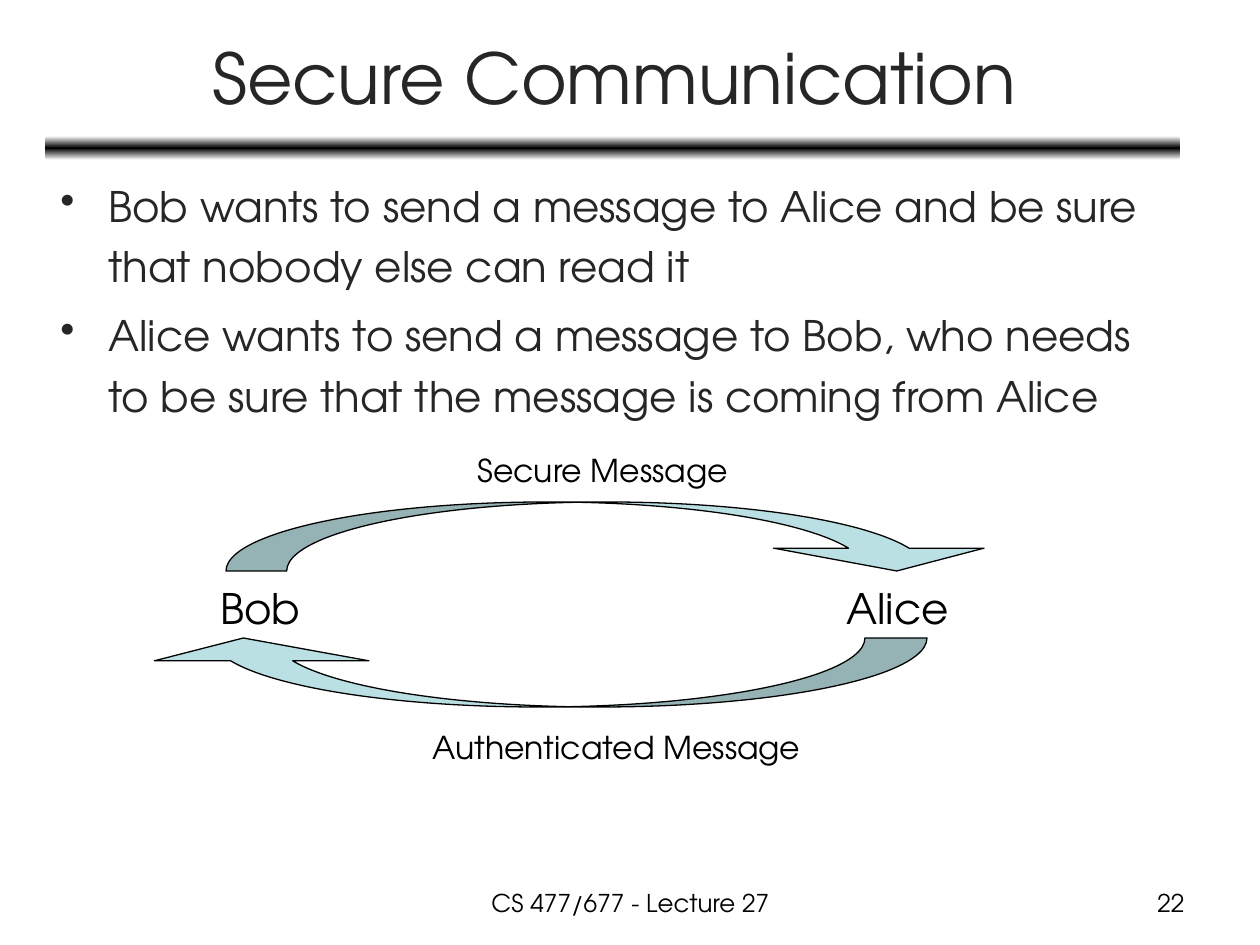
import copy

import pptx
import pptx.dml.color
import pptx.enum.shapes
import pptx.enum.text
import pptx.oxml
import pptx.oxml.ns
import pptx.util

PX = 914400 // 126
FONT = "TeX Gyre Adventor"
INK, BLACK, WHITE, AQUA = "262626", "000000", "FFFFFF", "BBE0E3"
SHAPE = pptx.enum.shapes.MSO_SHAPE
ALIGN = pptx.enum.text.PP_ALIGN
ANCHOR = pptx.enum.text.MSO_ANCHOR


def rgb(value):
    """Turn a hex string into a colour."""
    return pptx.dml.color.RGBColor.from_string(value)


def emu(*pixels):
    """Turn pixels into EMU lengths."""
    return [pptx.util.Emu(n * PX) for n in pixels]


def apply(target, formats):
    """Set each attribute of the target from a dict."""
    for name, value in formats.items():
        setattr(target, name, value)


def add_text(s, box, lines, size, color=BLACK, frame=None, para=None):
    """Add a text box with one paragraph per line and return its frame."""
    tf = s.shapes.add_textbox(*emu(*box)).text_frame
    apply(tf, {"word_wrap": True, **(frame or {})})
    for i, line in enumerate(lines):
        p = tf.paragraphs[0] if i == 0 else tf.add_paragraph()
        apply(p, para or {})
        r = p.add_run()
        r.text = line
        apply(r.font, {"size": pptx.util.Pt(size), "name": FONT})
        r.font.color.rgb = rgb(color)
    return tf


def add_header(s, x, y, w, title):
    """Add the title and the blurred rule below it."""
    bar = s.shapes.add_shape(SHAPE.ROUNDED_RECTANGLE, *emu(x - 2, y + 122, w, 24))
    bar.shadow.inherit = False
    bar.line.fill.background()
    bar.fill.gradient()
    bar.fill.gradient_angle = 90
    stops = bar._element.spPr.find(".//" + pptx.oxml.ns.qn("a:gsLst"))
    stops.append(copy.deepcopy(stops[0]))
    for stop, place, color in zip(bar.fill.gradient_stops, (0, 0.5, 1), (WHITE, BLACK, WHITE)):
        stop.position = place
        stop.color.rgb = rgb(color)
    add_text(s, (x, y, w, 125), [title], 40, INK,
             {"vertical_anchor": ANCHOR.MIDDLE}, {"alignment": ALIGN.CENTER})


def add_bullets(s, x, y, w, h, lines):
    """Add the bulleted body text."""
    tf = add_text(s, (x, y, w, h), lines, 24, INK,
                  para={"line_spacing": 1.2, "space_before": pptx.util.Pt(4.8)})
    indent = emu(48)[0]
    for p in tf.paragraphs:
        pr = p._p.get_or_add_pPr()
        pr.set("marL", str(indent))
        pr.set("indent", str(-indent))
        bullet = pptx.oxml.parse_xml(
            f'<a:buChar {pptx.oxml.ns.nsdecls("a")} char="•"/>')
        pr.append(bullet)


def add_arrow(s, box, adjustments, rotation):
    """Add one curved arrow."""
    arrow = s.shapes.add_shape(SHAPE.CURVED_DOWN_ARROW, *emu(*box))
    arrow.shadow.inherit = False
    for i, value in enumerate(adjustments):
        arrow.adjustments[i] = value
    arrow.rotation = rotation
    arrow.fill.solid()
    arrow.fill.fore_color.rgb = rgb(AQUA)
    arrow.line.color.rgb = rgb(BLACK)
    arrow.line.width = pptx.util.Pt(0.75)


def add_exchange(s, x, y):
    """Add the two people, the arrows between them and the labels."""
    add_arrow(s, (x + 90, y + 57, 776, 69), (0.88, 3.05, 0.33), 0)
    add_arrow(s, (x, y + 193, 791, 69), (0.9, 3.11, 0.33), 180)
    labels = (
        ("Alice", 698, 131, 129, 63, 24),
        ("Bob", 72, 131, 107, 63, 24),
        ("Secure Message", 329, 0, 280, 50, 18),
        ("Authenticated Message", 284, 277, 399, 50, 18),
    )
    for text, left, top, w, h, size in labels:
        add_text(s, (x + left, y + top, w, h), [text], size, frame={"word_wrap": False})


def add_footer(s, x, y):
    """Add the lecture name and the page number."""
    add_text(s, (x, y, 399, 44), ["CS 477/677 - Lecture 27"], 14,
             para={"alignment": ALIGN.CENTER})
    add_text(s, (x + 472, y, 294, 44), ["22"], 14, para={"alignment": ALIGN.RIGHT})


prs = pptx.Presentation()
apply(prs, {"slide_width": pptx.util.Inches(10), "slide_height": pptx.util.Inches(7.5)})
s = prs.slides.add_slide(prs.slide_layouts[6])
add_header(s, 47, 14, 1135, "Secure Communication")
add_bullets(s, 48, 164, 1134, 295, (
    "Bob wants to send a message to Alice and be sure that nobody else can read it",
    "Alice wants to send a message to Bob, who needs to be sure that the message is coming from Alice",
))
add_exchange(s, 136, 445)
add_footer(s, 431, 882)
prs.save("out.pptx")
